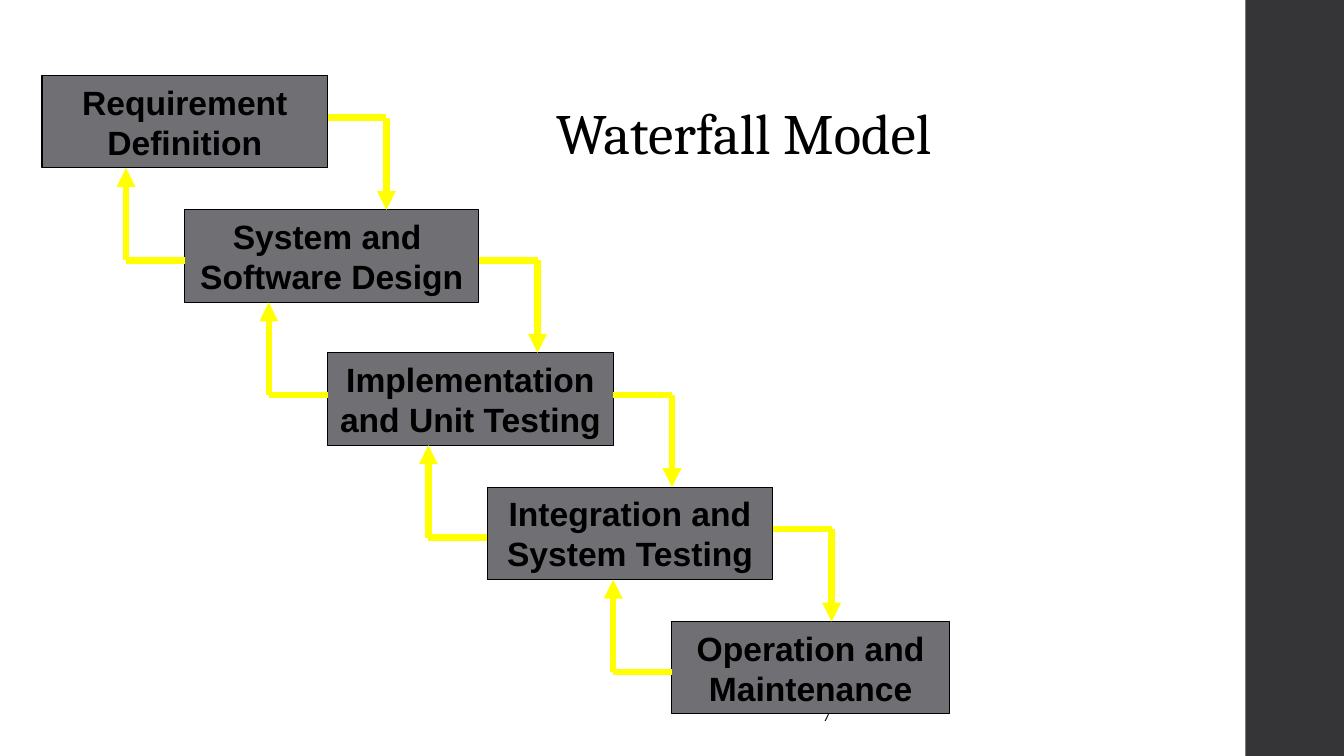
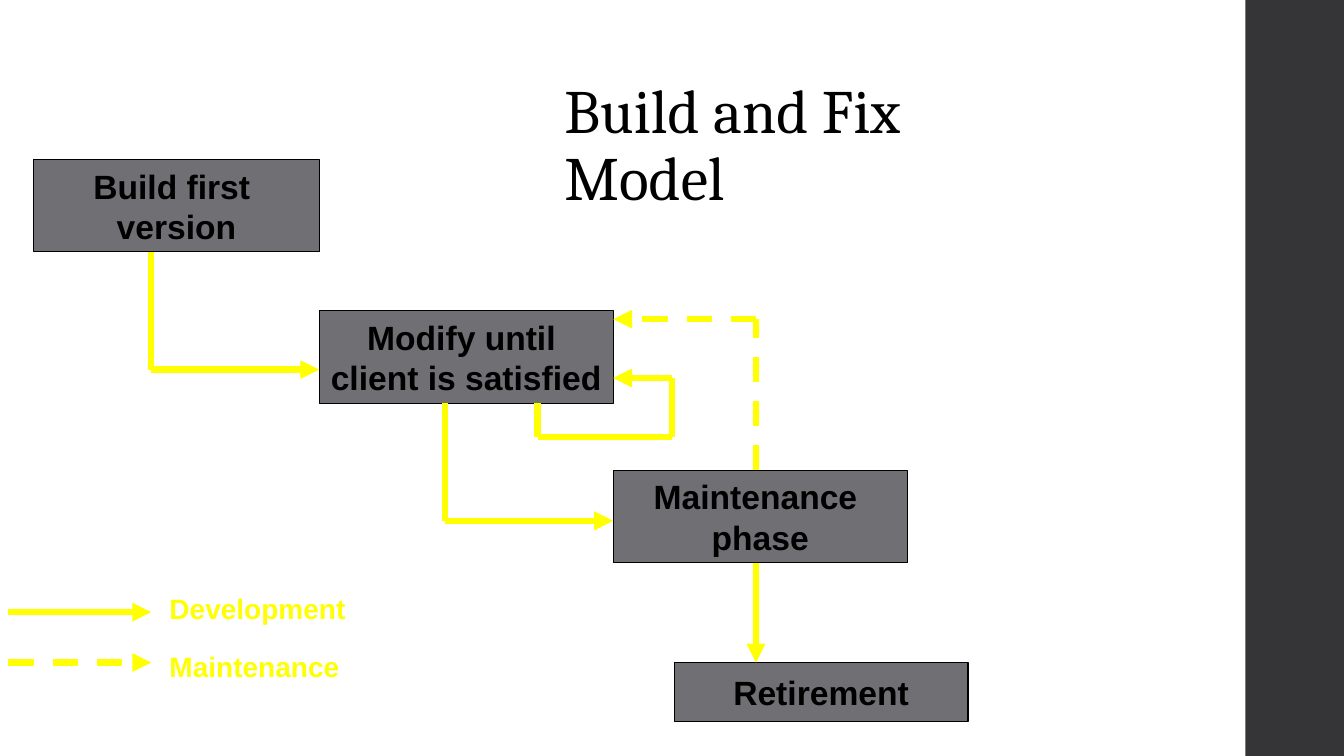
from itertools import pairwise

from lxml.etree import SubElement
from pptx import Presentation
from pptx.dml.color import RGBColor
from pptx.enum.dml import MSO_LINE
from pptx.enum.shapes import MSO_CONNECTOR, MSO_SHAPE
from pptx.enum.text import MSO_ANCHOR, MSO_AUTO_SIZE, PP_ALIGN
from pptx.oxml.ns import qn
from pptx.util import Emu, Pt

BLACK = "000000"
BAND_GREY = "353537"
BOX_GREY = "6F6F74"
YELLOW = "FFFF00"
BOX_HEIGHT = 88
ELBOW = 56

WATERFALL_STEPS = [
    (["Requirement", "Definition"], (40, 72, 272, BOX_HEIGHT), 40, 0),
    (["System and ", "Software Design"], (176, 200, 280, BOX_HEIGHT), 48, 48),
    (["Implementation", "and Unit Testing"], (312, 336, 272, BOX_HEIGHT), 40, 40),
    (["Integration and", "System Testing"], (464, 464, 272, BOX_HEIGHT), 40, 48),
    (["Operation and", "Maintenance"], (640, 592, 264, BOX_HEIGHT), 0, 48),
]

BUILD_AND_FIX_BOXES = [
    (["Build first ", "version"], (32, 152, 272, BOX_HEIGHT)),
    (["Modify until ", "client is satisfied"], (304, 296, 280, BOX_HEIGHT)),
    (["Maintenance ", "phase"], (584, 448, 280, BOX_HEIGHT)),
    (["Retirement"], (642, 631, 280, 56)),
]

DEVELOPMENT_ROUTES = [
    [(144, 240), (144, 352), (304, 352)],
    [(424, 384), (424, 496), (584, 496)],
    [(720, 536), (720, 631)],
    [(512, 384), (512, 416), (640, 416), (640, 360), (584, 360)],
]
MAINTENANCE_ROUTE = [(720, 448), (720, 304), (584, 304)]


def px(*lengths):
    """Turn pixel lengths into EMU."""
    return [Emu(length * 9525) for length in lengths]


def color(value):
    """Turn a hex string into a colour."""
    return RGBColor.from_string(value)


def write_text(shape, lines, *, font, size, fill=BLACK, bold=False,
               align=PP_ALIGN.LEFT, anchor=MSO_ANCHOR.MIDDLE, wrap=True,
               spacing=None, inset=None):
    """Fill a shape with one formatted paragraph per line."""
    frame = shape.text_frame
    frame.text = "\n".join(lines)
    frame.auto_size = MSO_AUTO_SIZE.NONE
    frame.word_wrap = wrap
    frame.vertical_anchor = anchor
    if inset is not None:
        frame.margin_left, frame.margin_top, frame.margin_right, frame.margin_bottom = px(*[inset] * 4)
    for paragraph in frame.paragraphs:
        paragraph.alignment = align
        paragraph.line_spacing = spacing
        for run in paragraph.runs:
            run.font.name = font
            run.font.size = Pt(size)
            run.font.bold = bold
            run.font.color.rgb = color(fill)


def add_rectangle(slide, bounds, fill, line=None):
    """Add a flat rectangle, outlined when a line colour is given."""
    shape = slide.shapes.add_shape(MSO_SHAPE.RECTANGLE, *px(*bounds))
    shape.shadow.inherit = False
    shape.fill.solid()
    shape.fill.fore_color.rgb = color(fill)
    if line:
        shape.line.color.rgb = color(line)
        shape.line.width = Pt(0.75)
    else:
        shape.line.fill.background()
    return shape


def add_stage(slide, lines, bounds):
    """Add a grey box that names a stage."""
    write_text(add_rectangle(slide, bounds, BOX_GREY, BLACK), lines, font="Arial",
               size=24, bold=True, align=PP_ALIGN.CENTER, wrap=False)


def add_segment(shapes, start, end, dashed, arrow):
    """Add one straight yellow line."""
    connector = shapes.add_connector(MSO_CONNECTOR.STRAIGHT, *px(*start, *end))
    connector.line.color.rgb = color(YELLOW)
    connector.line.width = Pt(4.5)
    if dashed:
        connector.line.dash_style = MSO_LINE.DASH
    properties = connector.element.spPr
    if arrow:
        SubElement(properties.find(qn("a:ln")), qn("a:tailEnd"), type="triangle")
    SubElement(properties, qn("a:effectLst"))


def add_route(slide, points, dashed=False):
    """Draw a grouped chain of lines with an arrowhead at its last point."""
    shapes = slide.shapes.add_group_shape().shapes if len(points) > 2 else slide.shapes
    for start, end in pairwise(points):
        add_segment(shapes, start, end, dashed, arrow=end == points[-1])


def add_legend_entry(slide, label, line_y, text_y, dashed=False):
    """Add a sample arrow with its label."""
    add_route(slide, [(8, line_y), (144, line_y)], dashed)
    text_box = slide.shapes.add_textbox(*px(152, text_y, 240, 41))
    write_text(text_box, [label], font="Arial", size=20, fill=YELLOW, bold=True,
               anchor=MSO_ANCHOR.TOP)


def add_titled_slide(presentation, title, bounds, size, number):
    """Add a slide with its title and page number."""
    slide = presentation.slides.add_slide(presentation.slide_layouts[5])
    placeholder = slide.shapes.title
    placeholder.left, placeholder.top, placeholder.width, placeholder.height = px(*bounds)
    write_text(placeholder, [title], font="Cambria", size=size, spacing=0.9)
    number_box = slide.shapes.add_textbox(*px(688, 656, 200, 48))
    write_text(number_box, [number], font="Times New Roman", size=14,
               align=PP_ALIGN.CENTER, inset=5)
    return slide


def add_master_band(presentation, slide):
    """Place the dark right band on the slide master."""
    band = add_rectangle(slide, (1186, 0, 94, 720), BAND_GREY)
    presentation.slide_master.element.cSld.spTree.insert(2, band.element)


def draw_waterfall(slide):
    """Draw the staircase of stages with arrows down and back up."""
    for lines, bounds, _, _ in WATERFALL_STEPS:
        add_stage(slide, lines, bounds)
    for upper, lower in pairwise(WATERFALL_STEPS):
        _, (left, top, width, height), exit_offset, _ = upper
        _, (next_left, next_top, _, _), _, return_offset = lower
        right, exit_y = left + width, top + exit_offset
        add_route(slide, [(right, exit_y), (right + ELBOW, exit_y), (right + ELBOW, next_top)])
        return_x, return_y = next_left - ELBOW, next_top + return_offset
        add_route(slide, [(next_left, return_y), (return_x, return_y), (return_x, top + height)])


def draw_build_and_fix(slide):
    """Draw the stages, their routes and the legend."""
    for lines, bounds in BUILD_AND_FIX_BOXES:
        add_stage(slide, lines, bounds)
    for points in DEVELOPMENT_ROUTES:
        add_route(slide, points)
    add_route(slide, MAINTENANCE_ROUTE, dashed=True)
    add_legend_entry(slide, "Development", 583, 559)
    add_legend_entry(slide, "Maintenance", 631, 614, dashed=True)


def main():
    """Build and save the presentation."""
    presentation = Presentation()
    presentation.slide_width, presentation.slide_height = px(1280, 720)
    waterfall = add_titled_slide(presentation, "Waterfall Model", (520, 88, 440, 84), 40.7, "7")
    add_master_band(presentation, waterfall)
    draw_waterfall(waterfall)
    build_and_fix = add_titled_slide(presentation, "Build and Fix Model", (528, 48, 424, 184), 44, "9")
    draw_build_and_fix(build_and_fix)
    presentation.save("out.pptx")


if __name__ == "__main__":
    main()
